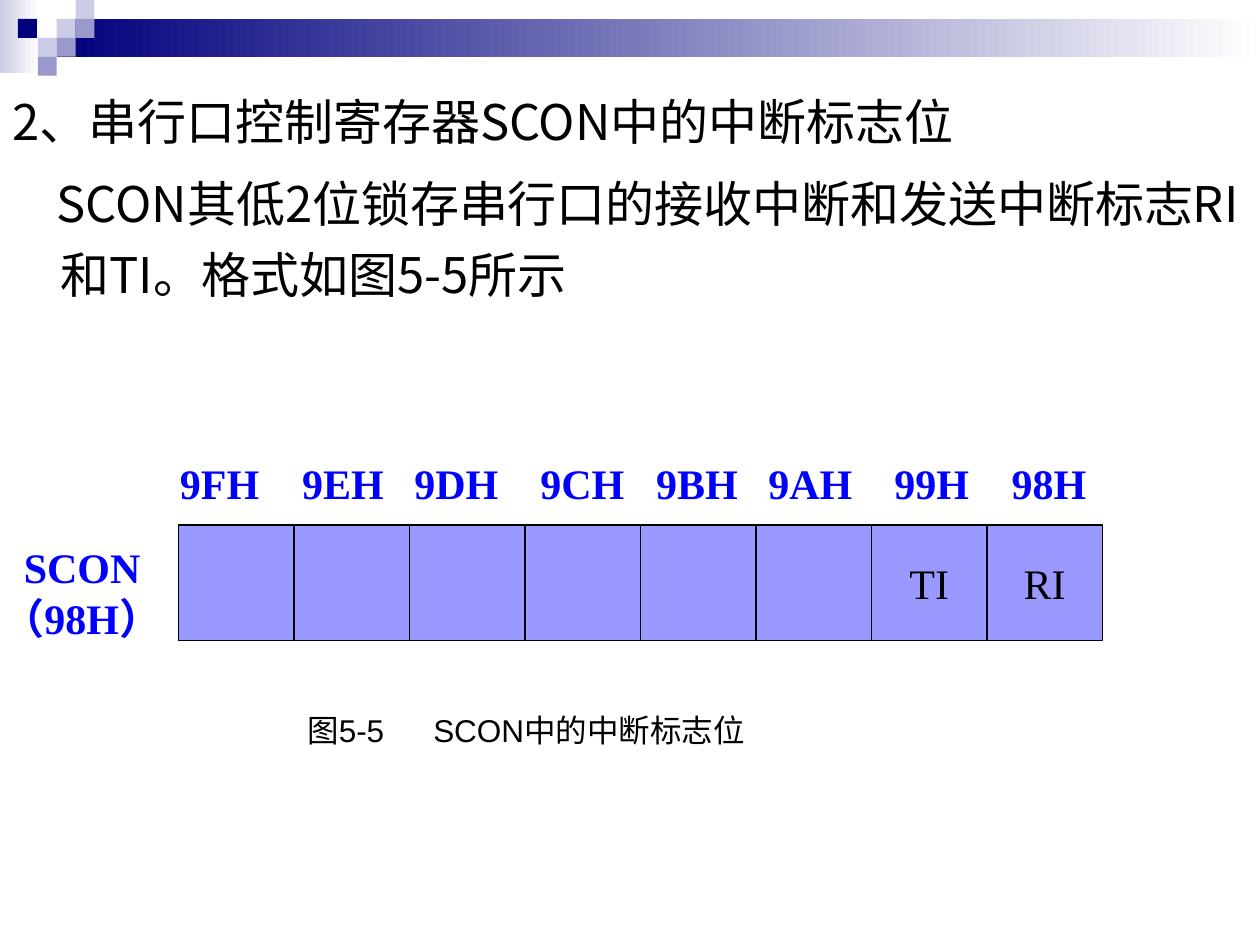
"""Build the slide on the interrupt flags in the SCON register."""
from lxml.etree import SubElement
from pptx import Presentation
from pptx.dml.color import RGBColor
from pptx.enum.shapes import MSO_SHAPE
from pptx.enum.text import MSO_ANCHOR, MSO_AUTO_SIZE, PP_ALIGN
from pptx.oxml.ns import qn
from pptx.util import Inches, Pt

COLORS = {
    "navy": "00007D", "lilac": "CCCCE6", "slate": "9999CC", "white": "FFFFFF",
    "cell": "9999FF", "label": "0000FF", "ink": "000000",
}
LABEL = {"name": "Times New Roman", "size": Pt(24), "bold": True}
FLAG = {"name": "Times New Roman", "size": Pt(24)}
CAPTION = {"name": "Arial", "size": Pt(18)}
BODY = {"name": "Noto Sans CJK SC", "size": Pt(28)}
UNIT = 0.15
CELL = 11 / 12
ROW_LEFT, ROW_TOP = 17 / 12, 25 / 6

deck = Presentation()
deck.slide_width, deck.slide_height = Inches(10), Inches(7.5)
slide = deck.slides.add_slide(deck.slide_layouts[1])
heading = slide.shapes.title.element
heading.getparent().remove(heading)
explanation = slide.placeholders[1]


def add_block(left, top, width, height, *fills):
    block = slide.shapes.add_shape(
        MSO_SHAPE.RECTANGLE, *map(Inches, (left, top, width, height)))
    block.shadow.inherit = False
    block.line.fill.background()
    if len(fills) == 1:
        block.fill.solid()
        block.fill.fore_color.rgb = RGBColor.from_string(COLORS[fills[0]])
    else:
        block.fill.gradient()
        block.fill.gradient_angle = 0
        for stop, fill in zip(block.fill.gradient_stops, fills):
            stop.color.rgb = RGBColor.from_string(COLORS[fill])
    return block


def write(holder, lines, style, color, indents=((0, 0),)):
    frame = holder.text_frame
    frame.word_wrap = True
    frame.auto_size = MSO_AUTO_SIZE.NONE
    frame.text = "\n".join(lines)
    for paragraph, (margin, indent) in zip(frame.paragraphs, indents):
        for attribute, value in style.items():
            setattr(paragraph.runs[0].font, attribute, value)
        paragraph.runs[0].font.color.rgb = RGBColor.from_string(COLORS[color])
        properties = paragraph._p.get_or_add_pPr()
        properties.set("marL", str(Inches(margin)))
        properties.set("indent", str(Inches(indent)))
    return frame


add_block(0, 0, 0.31, 0.58, "lilac", "white")
add_block(3 * UNIT, UNIT, 10 - 3 * UNIT, 2 * UNIT, "navy", "white")
for column, row, fill in (
        (3, 1, "lilac"), (4, 0, "lilac"), (4, 1, "slate"), (2, 2, "lilac"),
        (0.95, 1, "navy"), (3, 2, "slate"), (2, 3, "slate")):
    add_block(column * UNIT, row * UNIT, UNIT, UNIT, fill)

for attribute, value in {"left": 0, "top": 0.58, "width": 10, "height": 2.42}.items():
    setattr(explanation, attribute, Inches(value))
statements = write(
    explanation,
    ["2、串行口控制寄存器SCON中的中断标志位",
     "SCON其低2位锁存串行口的接收中断和发送中断标志RI和TI。格式如图5-5所示"],
    BODY, "ink", ((0.38, -0.38), (0.38, -0.03)))
for statement in statements.paragraphs:
    for attribute, value in {"line_spacing": 1.2, "space_before": Pt(7)}.items():
        setattr(statement, attribute, value)
    SubElement(statement._p.pPr, qn("a:buNone"))
    east_asian = SubElement(statement.runs[0]._r.rPr, qn("a:ea"))
    east_asian.set("typeface", BODY["name"])

for bit, flag in enumerate([""] * 6 + ["TI", "RI"]):
    cell = add_block(ROW_LEFT + bit * CELL, ROW_TOP, CELL, CELL, "cell")
    cell.line.color.rgb = RGBColor.from_string(COLORS["ink"])
    cell.line.width = Pt(0.75)
    if flag:
        flag_frame = write(cell, [flag], FLAG, "ink")
        flag_frame.vertical_anchor = MSO_ANCHOR.MIDDLE
        flag_frame.paragraphs[0].alignment = PP_ALIGN.CENTER

for address, left in {
        "9FH": 1.33, "9EH": 2.3, "9DH": 3.19, "9CH": 4.19,
        "9BH": 5.11, "9AH": 6, "99H": 7, "98H": 7.93}.items():
    address_box = slide.shapes.add_textbox(*map(Inches, (left, 3.58, 1, 0.5)))
    write(address_box, [address], LABEL, "label")

register_box = slide.shapes.add_textbox(*map(Inches, (-0.08, 4.25, 1.62, 0.9)))
write(register_box, ["SCON", "（98H）"], LABEL, "label", ((0.17, 0), (0, 0)))

caption_box = slide.shapes.add_textbox(*map(Inches, (2.34, 5.59, 5.42, 0.4)))
write(caption_box, ["图5-5\tSCON中的中断标志位"], CAPTION, "ink")

deck.save("out.pptx")
